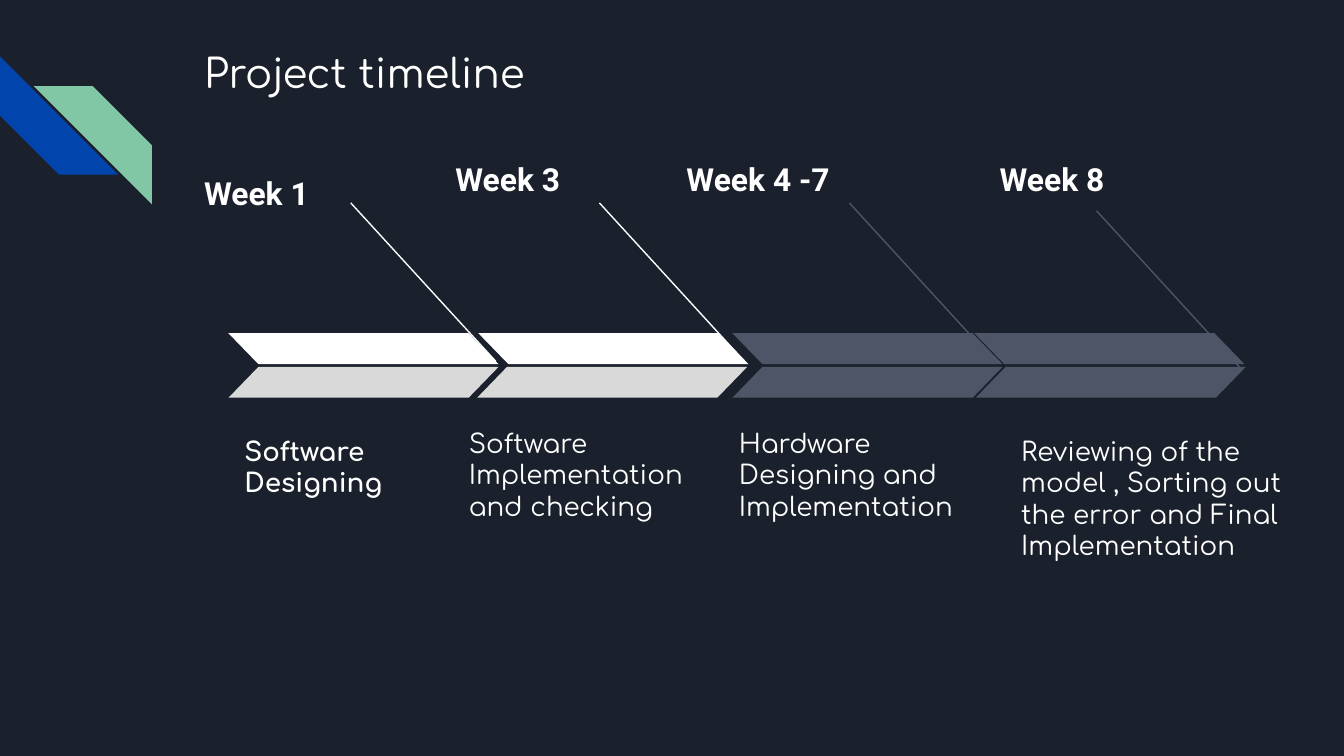
from dataclasses import dataclass

from lxml.etree import SubElement
from pptx import Presentation
from pptx.dml.color import RGBColor
from pptx.enum.shapes import MSO_CONNECTOR, MSO_SHAPE
from pptx.enum.text import MSO_ANCHOR, PP_ALIGN
from pptx.oxml.ns import qn
from pptx.util import Inches, Pt


@dataclass(frozen=True)
class Theme:
    background: str = "1B212C"
    text: str = "FFFFFF"
    blue: str = "0145AC"
    green: str = "82C7A5"
    done: str = "FFFFFF"
    done_shade: str = "D9D9D9"
    pending: str = "4E5567"
    heading_font: str = "Comfortaa"
    week_font: str = "Roboto"
    title_size: float = 21.6
    week_size: float = 17
    body_size: float = 14


THEME = Theme()


@dataclass(frozen=True)
class Box:
    left: float
    top: float
    width: float
    height: float


@dataclass(frozen=True)
class Stage:
    week: str
    week_box: Box
    task: str
    task_box: Box
    upper_left: float
    lower_left: float
    leader_start: tuple[float, float]
    upper_color: str
    lower_color: str
    bold: bool = False


STAGES = [
    Stage("Week 1", Box(1.42, 1.19, 1.41, 0.38),
          "Software Designing", Box(1.72, 3.14, 1.72, 0.52),
          1.7, 1.7, (2.61, 1.51), THEME.done, THEME.done_shade, bold=True),
    Stage("Week 3", Box(3.29, 1.09, 1.83, 0.38),
          "Software Implementation and checking", Box(3.39, 3.08, 1.83, 0.7),
          3.56, 3.55, (4.46, 1.51), THEME.done, THEME.done_shade),
    Stage("Week 4 -7", Box(5.01, 1.09, 1.83, 0.38),
          "Hardware Designing and Implementation", Box(5.4, 3.08, 1.93, 0.8),
          5.45, 5.45, (6.32, 1.51), THEME.pending, THEME.pending),
    Stage("Week 8", Box(7.34, 1.09, 1.83, 0.38),
          "Reviewing of the model , Sorting out the error and Final Implementation",
          Box(7.5, 3.14, 2.19, 0.8),
          7.25, 7.26, (8.16, 1.57), THEME.pending, THEME.pending),
]
BAND_WIDTH, BAND_HEIGHT = 2.01, 0.23
UPPER_TOP, LOWER_TOP = 2.48, 2.73
LEADER_WIDTH, LEADER_HEIGHT = 1.08, 1.18


def add_text(slide, text: str, box: Box, font_name: str, size: float,
             bold: bool = False, space_after: float = 0) -> None:
    shape = slide.shapes.add_textbox(
        Inches(box.left), Inches(box.top), Inches(box.width), Inches(box.height))
    frame = shape.text_frame
    frame.word_wrap = True
    frame.vertical_anchor = MSO_ANCHOR.TOP
    frame.margin_left = frame.margin_right = Inches(0.1)
    frame.margin_top = frame.margin_bottom = Inches(0.1)
    frame.text = text
    paragraph = frame.paragraphs[0]
    paragraph.alignment = PP_ALIGN.LEFT
    paragraph.space_after = Pt(space_after)
    font = paragraph.runs[0].font
    font.name = font_name
    font.size = Pt(size)
    font.bold = bold
    font.color.rgb = RGBColor.from_string(THEME.text)


def add_filled_shape(slide, kind: MSO_SHAPE, box: Box, color: str, adjustment: float,
                     flipped: bool = False, rotation: float = 0) -> None:
    shape = slide.shapes.add_shape(
        kind, Inches(box.left), Inches(box.top), Inches(box.width), Inches(box.height))
    shape.adjustments[0] = adjustment
    shape.rotation = rotation
    shape.shadow.inherit = False
    shape.fill.solid()
    shape.fill.fore_color.rgb = RGBColor.from_string(color)
    shape.line.fill.background()
    if flipped:
        shape.element.spPr.find(qn("a:xfrm")).set("flipH", "1")


def add_leader(slide, start: tuple[float, float], color: str) -> None:
    """Draw the slanted line from a week label down to its arrow."""
    left, top = start
    line = slide.shapes.add_connector(
        MSO_CONNECTOR.STRAIGHT, Inches(left), Inches(top),
        Inches(left + LEADER_WIDTH), Inches(top + LEADER_HEIGHT))
    line.line.color.rgb = RGBColor.from_string(color)
    line.line.width = Pt(0.75)
    SubElement(line.element.spPr, qn("a:effectLst"))


def add_stage(slide, stage: Stage) -> None:
    add_leader(slide, stage.leader_start, stage.upper_color)
    add_filled_shape(slide, MSO_SHAPE.PARALLELOGRAM,
                     Box(stage.upper_left, UPPER_TOP, BAND_WIDTH, BAND_HEIGHT),
                     stage.upper_color, 0.97, flipped=True)
    add_filled_shape(slide, MSO_SHAPE.PARALLELOGRAM,
                     Box(stage.lower_left, LOWER_TOP, BAND_WIDTH, BAND_HEIGHT),
                     stage.lower_color, 0.97)
    add_text(slide, stage.week, stage.week_box, THEME.week_font, THEME.week_size,
             bold=True, space_after=16)
    add_text(slide, stage.task, stage.task_box, THEME.heading_font, THEME.body_size,
             bold=stage.bold)


def main() -> None:
    presentation = Presentation()
    presentation.slide_width = Inches(10)
    presentation.slide_height = Inches(10 * 9 / 16)
    slide = presentation.slides.add_slide(presentation.slide_layouts[6])
    slide.background.fill.solid()
    slide.background.fill.fore_color.rgb = RGBColor.from_string(THEME.background)

    add_filled_shape(slide, MSO_SHAPE.DIAGONAL_STRIPE, Box(0, 0.42, 0.88, 0.88),
                     THEME.blue, 0.5, rotation=270)
    add_filled_shape(slide, MSO_SHAPE.DIAGONAL_STRIPE, Box(0.25, 0.64, 0.88, 0.88),
                     THEME.green, 0.5, flipped=True)
    add_text(slide, "Project timeline", Box(1.42, 0.26, 2.74, 0.52),
             THEME.heading_font, THEME.title_size)
    for stage in STAGES:
        add_stage(slide, stage)

    presentation.save("out.pptx")


if __name__ == "__main__":
    main()
